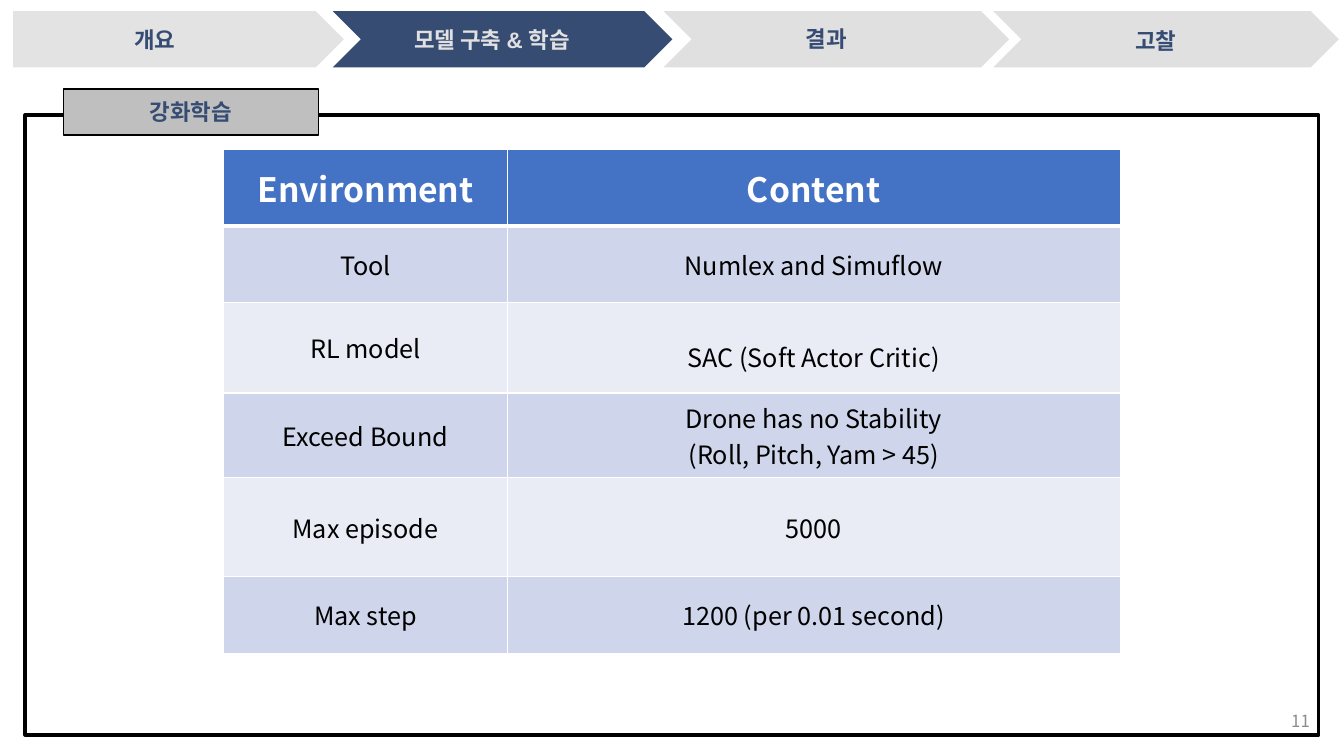
from lxml import etree
from pptx import Presentation
from pptx.dml.color import RGBColor
from pptx.enum.shapes import MSO_SHAPE
from pptx.enum.text import MSO_ANCHOR, PP_ALIGN
from pptx.oxml.ns import qn
from pptx.util import Inches, Pt

RECT, PENTAGON, CHEVRON = MSO_SHAPE.RECTANGLE, MSO_SHAPE.PENTAGON, MSO_SHAPE.CHEVRON
MIDDLE, TOP = MSO_ANCHOR.MIDDLE, MSO_ANCHOR.TOP
CENTER, RIGHT = PP_ALIGN.CENTER, PP_ALIGN.RIGHT
ARIAL, NOTO = "Arial", "Noto Sans CJK KR"
NAVY, BLACK, WHITE = "364C73", "000000", "FFFFFF"
HEADER, BANDS = "4472C4", ("E9EBF5", "CFD5EA")


def rgb(value):
    return RGBColor.from_string(value)


def write(tf, text, size=16, color=NAVY, bold=False, font=ARIAL,
          align=CENTER, spacing=None):
    """Fill a text frame, one paragraph for each line of text."""
    for i, line in enumerate(text.split("\n")):
        p = tf.paragraphs[0] if i == 0 else tf.add_paragraph()
        p.alignment = align
        if spacing:
            p.line_spacing = spacing
        r = p.add_run()
        r.text = line
        r.font.size, r.font.bold, r.font.name = Pt(size), bold, font
        r.font.color.rgb = rgb(color)
        ea = etree.SubElement(r.font._element, qn("a:ea"))
        ea.set("typeface", NOTO)


class Deck:
    def __init__(self, width, height):
        self.prs = Presentation()
        self.prs.slide_width, self.prs.slide_height = Inches(width), Inches(height)
        self.s = self.prs.slides.add_slide(self.prs.slide_layouts[6])

    def shape(self, kind, x, y, w, h, fill=None, alpha=None, line=None, text=None):
        sp = self.s.shapes.add_shape(kind, Inches(x), Inches(y), Inches(w), Inches(h))
        sp.shadow.inherit = False
        if fill:
            sp.fill.solid()
            sp.fill.fore_color.rgb = rgb(fill)
        else:
            sp.fill.background()
        if alpha:
            color = sp._element.spPr.find(qn("a:solidFill"))[0]
            etree.SubElement(color, qn("a:alpha")).set("val", str(alpha * 1000))
        if line:
            sp.line.color.rgb = rgb(BLACK)
            sp.line.width = Pt(line)
        else:
            sp.line.fill.background()
        if text:
            sp.text_frame.vertical_anchor = MIDDLE
            write(sp.text_frame, text, bold=True)

    def text(self, x, y, w, h, text, wrap=False, anchor=TOP, **style):
        tf = self.s.shapes.add_textbox(Inches(x), Inches(y), Inches(w), Inches(h)).text_frame
        tf.word_wrap, tf.vertical_anchor = wrap, anchor
        write(tf, text, **style)

    def border(self, cell, bottom=1):
        tcPr = cell._tc.get_or_add_tcPr()
        for i, side in enumerate(("lnL", "lnR", "lnT", "lnB")):
            width = bottom if side == "lnB" else 1
            ln = etree.Element(qn("a:" + side), w=str(Pt(width)))
            fill = etree.SubElement(ln, qn("a:solidFill"))
            etree.SubElement(fill, qn("a:srgbClr"), val=WHITE)
            tcPr.insert(i, ln)

    def table(self, x, y, cols, heights, rows):
        table = self.s.shapes.add_table(len(rows), len(cols), Inches(x), Inches(y),
                                        Inches(sum(cols)), Inches(sum(heights))).table
        for column, width in zip(table.columns, cols):
            column.width = Inches(width)
        for i, (row, height) in enumerate(zip(rows, heights)):
            table.rows[i].height = Inches(height)
            head = i == 0
            for j, text in enumerate(row):
                cell = table.cell(i, j)
                cell.vertical_anchor = MIDDLE
                cell.fill.solid()
                cell.fill.fore_color.rgb = rgb(HEADER if head else BANDS[i % 2])
                self.border(cell, bottom=3 if head else 1)
                write(cell.text_frame, text, size=24 if head else 18, bold=head,
                      color=WHITE if head else BLACK, font=NOTO,
                      spacing=1.5 if text.startswith("SAC") else None)


def main():
    deck = Deck(13.33, 7.5)

    # Page number, frame and section label
    deck.text(10.09, 6.95, 3, 0.4, "11", wrap=True, anchor=MIDDLE,
              size=12, color="8C8C8C", font=NOTO, align=RIGHT)
    deck.shape(RECT, 0.25, 1.14, 12.83, 6.15, line=2.5)
    deck.shape(RECT, 0.63, 0.88, 2.53, 0.46, fill="BFBFBF", line=1.25, text="강화학습")

    # Training settings
    deck.table(2.22, 1.48, (2.81, 6.08), (0.76, 0.76, 0.9, 0.84, 0.98, 0.76), [
        ("Environment", "Content"),
        ("Tool", "Numlex and Simuflow"),
        ("RL model", "SAC (Soft Actor Critic)"),
        ("Exceed Bound", "Drone has no Stability\n(Roll, Pitch, Yam > 45)"),
        ("Max episode", "5000"),
        ("Max step", "1200 (per 0.01 second)"),
    ])

    # Navigation steps: shape, left, width, fill, opacity
    for kind, x, w, fill, alpha in (
        (CHEVRON, 9.85, 3.43, "D9D9D9", 80),
        (PENTAGON, 0.13, 3.28, "E1E1E1", 90),
        (CHEVRON, 3.3, 3.37, NAVY, None),
        (CHEVRON, 6.58, 3.43, "D9D9D9", 80),
    ):
        deck.shape(kind, x, 0.11, w, 0.56, fill=fill, alpha=alpha)

    # Navigation labels
    for x, y, w, label, color in (
        (1.21, 0.21, 0.65, "개요", NAVY),
        (7.87, 0.2, 0.65, "결과", NAVY),
        (11.14, 0.22, 0.65, "고찰", NAVY),
        (3.89, 0.21, 1.98, "모델 구축 & 학습", "E1E1E1"),
    ):
        deck.text(x, y, w, 0.37, label, color=color, bold=True)

    deck.prs.save("out.pptx")


if __name__ == "__main__":
    main()
